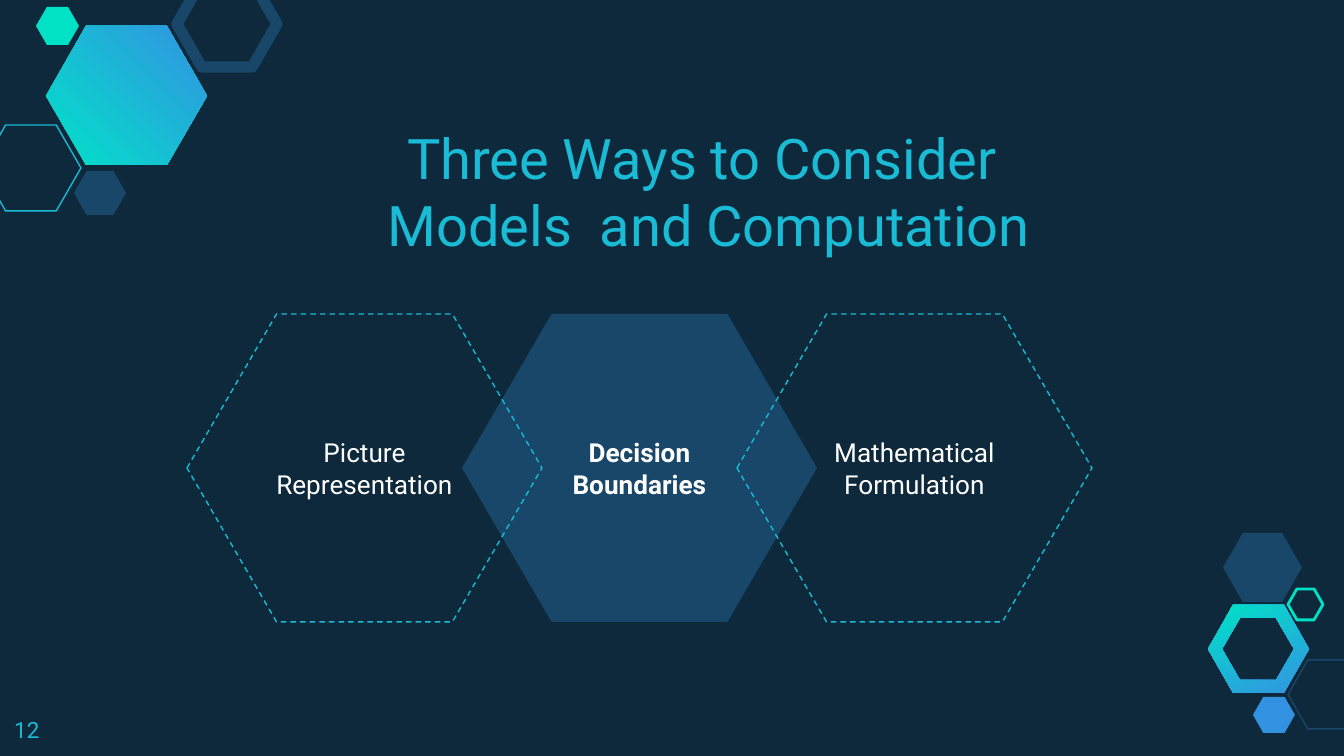
from dataclasses import dataclass
from typing import Optional

from lxml import etree
from pptx import Presentation
from pptx import util as u
from pptx.dml.color import RGBColor
from pptx.enum import dml, shapes, text
from pptx.oxml import ns

PX = 914400 / 134.4  # EMU in one px
FONT = "Roboto"
NAVY, STEEL, CYAN = "0E293C", "184769", "19BBD5"
MINT, BLUE, WHITE = "00E1C6", "3292E1", "FFFFFF"
GRADIENT = ("3393E2", "00E2C7")


@dataclass
class Hexagon:
    left: int
    top: int
    width: int
    height: int
    fill: Optional[str] = None
    line: Optional[str] = None
    weight: float = 0.75
    dashed: bool = False
    adjust: float = 0.287
    label: str = ""
    bold: bool = False


DECORATIONS = [
    Hexagon(-19, 125, 100, 86, line=CYAN),
    Hexagon(74, 171, 52, 44, fill=STEEL),
    Hexagon(177, -19, 100, 86, line=STEEL, weight=6),
    Hexagon(36, 7, 43, 38, fill=MINT),
    Hexagon(1288, 660, 79, 69, line=STEEL),
    Hexagon(1253, 697, 42, 36, fill=BLUE),
    Hexagon(1223, 533, 79, 69, fill=STEEL),
    Hexagon(1288, 589, 35, 31, line=MINT, weight=1.5),
]

# Three overlapping topics at an equal step; the filled one lies at the back
TOPIC_LEFT, TOPIC_STEP = 187, 275
TOPIC_SIZE = dict(top=314, width=355, height=308, adjust=0.291)
TOPICS = [
    Hexagon(TOPIC_LEFT + TOPIC_STEP, fill=STEEL, label="Decision Boundaries",
            bold=True, **TOPIC_SIZE),
    Hexagon(TOPIC_LEFT, line=CYAN, dashed=True,
            label="Picture Representation", **TOPIC_SIZE),
    Hexagon(TOPIC_LEFT + 2 * TOPIC_STEP, line=CYAN, dashed=True,
            label="Mathematical Formulation", **TOPIC_SIZE),
]


def px(length: int) -> u.Emu:
    return u.Emu(round(length * PX))


def color(value: str) -> RGBColor:
    return RGBColor.from_string(value)


def write(shape, content: str, *, size: int, fill: str = WHITE,
          bold: bool = False, align=text.PP_ALIGN.CENTER,
          anchor=text.MSO_ANCHOR.MIDDLE) -> None:
    """Write each line of content as one paragraph."""
    frame = shape.text_frame
    frame.word_wrap = True
    frame.vertical_anchor = anchor
    frame.margin_left = frame.margin_right = u.Inches(0.1)
    frame.margin_top = frame.margin_bottom = u.Inches(0.1)
    frame.text = content
    for paragraph in frame.paragraphs:
        paragraph.alignment = align
        font = paragraph.runs[0].font
        font.name, font.size, font.bold = FONT, u.Pt(size), bold
        font.color.rgb = color(fill)


def draw_hexagon(slide, item: Hexagon) -> None:
    shape = slide.shapes.add_shape(
        shapes.MSO_SHAPE.HEXAGON, px(item.left), px(item.top),
        px(item.width), px(item.height))
    shape.shadow.inherit = False
    shape.adjustments[0] = item.adjust
    if item.fill:
        shape.fill.solid()
        shape.fill.fore_color.rgb = color(item.fill)
    else:
        shape.fill.background()
    if item.line:
        shape.line.color.rgb = color(item.line)
        shape.line.width = u.Pt(item.weight)
        if item.dashed:
            shape.line.dash_style = dml.MSO_LINE.DASH
    else:
        shape.line.fill.background()
    if item.label:
        write(shape, item.label, size=14, bold=item.bold)


def corners(left: int, top: int, width: int, height: int,
            inset: int) -> list[tuple[int, int]]:
    """Clockwise corners of a hexagon, from its left tip."""
    right, bottom, middle = left + width, top + height, top + height / 2
    return [(left, middle), (left + inset, top), (right - inset, top),
            (right, middle), (right - inset, bottom), (left + inset, bottom)]


def draw_gradient_outline(slide, contours: list, shade: str, **shade_values: str) -> None:
    """Draw closed contours, filled with a linear (lin) or round (path) gradient."""
    first, *others = contours
    builder = slide.shapes.build_freeform(*first[0], scale=PX)
    builder.add_line_segments(first[1:], close=True)
    for contour in others:
        builder.move_to(*contour[0])
        builder.add_line_segments(contour[1:], close=True)
    shape = builder.convert_to_shape()
    shape.shadow.inherit = False
    shape.line.fill.background()

    fill = etree.Element(ns.qn("a:gradFill"), rotWithShape="1")
    stops = etree.SubElement(fill, ns.qn("a:gsLst"))
    for position, value in zip(("0", "100000"), GRADIENT):
        stop = etree.SubElement(stops, ns.qn("a:gs"), pos=position)
        etree.SubElement(stop, ns.qn("a:srgbClr"), val=value)
    if shade == "lin":
        etree.SubElement(fill, ns.qn("a:lin"), **shade_values)
    else:
        circle = etree.SubElement(fill, ns.qn("a:path"), path="circle")
        etree.SubElement(circle, ns.qn("a:fillToRect"), **shade_values)
    shape._element.spPr.find(ns.qn("a:custGeom")).addnext(fill)


def main() -> None:
    presentation = Presentation()
    presentation.slide_width, presentation.slide_height = px(1344), px(756)
    slide = presentation.slides.add_slide(presentation.slide_layouts[6])
    slide.background.fill.solid()
    slide.background.fill.fore_color.rgb = color(NAVY)

    # Corner decorations: gradient ring, gradient hexagon, small hexagons
    ring = [corners(1208, 605, 101, 88, 25), corners(1222, 618, 72, 62, 18)[::-1]]
    draw_gradient_outline(slide, ring, "lin", ang=str(244 * 60000), scaled="0")
    draw_gradient_outline(slide, [corners(46, 26, 161, 139, 40)], "path",
                          l="100000", b="100000")
    for item in DECORATIONS:
        draw_hexagon(slide, item)

    # Title
    title = slide.shapes.add_textbox(px(234), px(176), px(950), px(95))
    write(title, "Three Ways to Consider \nModels  and Computation", size=30,
          fill=CYAN, anchor=text.MSO_ANCHOR.BOTTOM)

    # Topics
    for item in TOPICS:
        draw_hexagon(slide, item)

    # Slide number
    number = slide.shapes.add_textbox(px(1), px(703), px(81), px(52))
    write(number, "12", size=12, fill=CYAN, align=text.PP_ALIGN.LEFT,
          anchor=text.MSO_ANCHOR.TOP)

    presentation.save("out.pptx")


if __name__ == "__main__":
    main()
